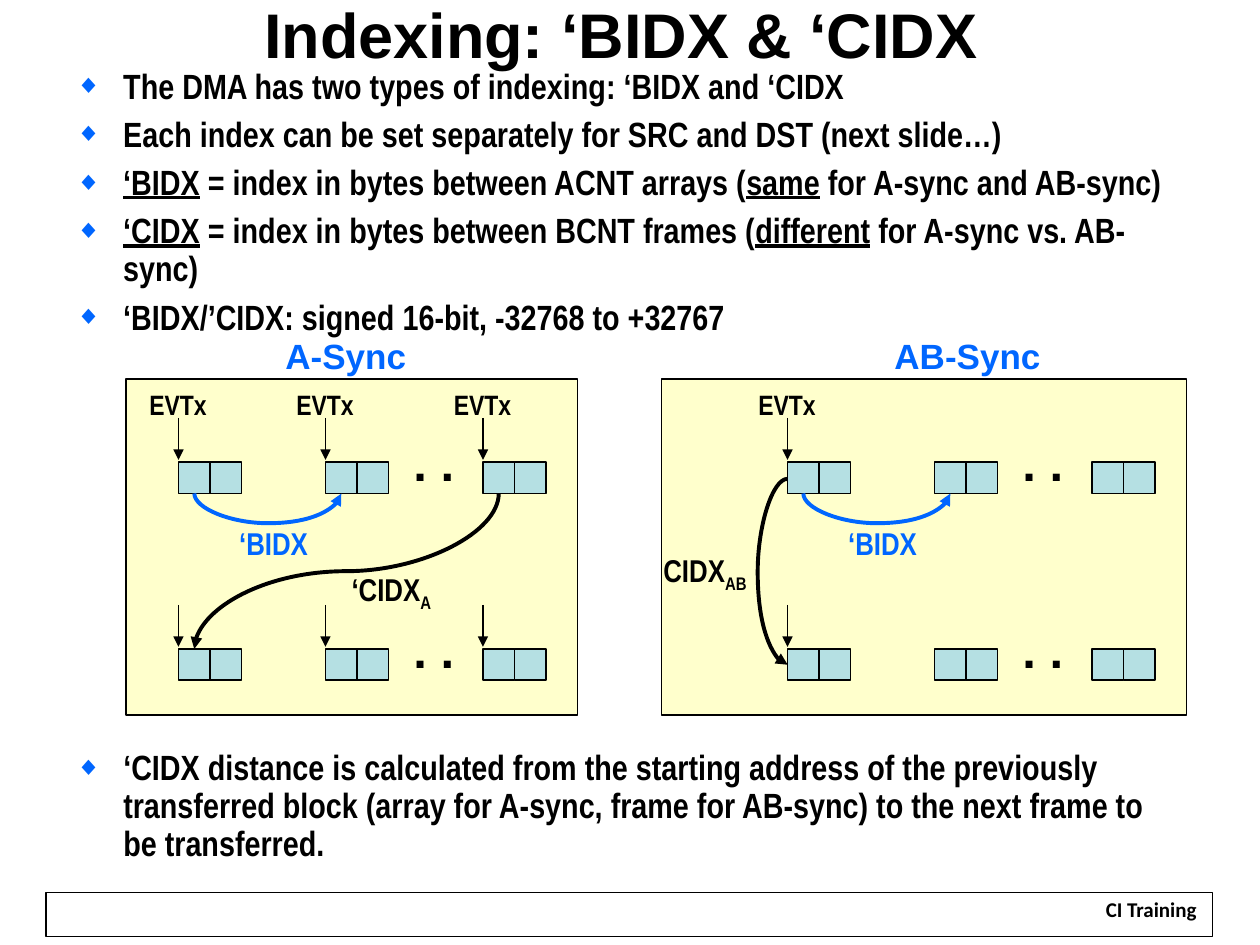
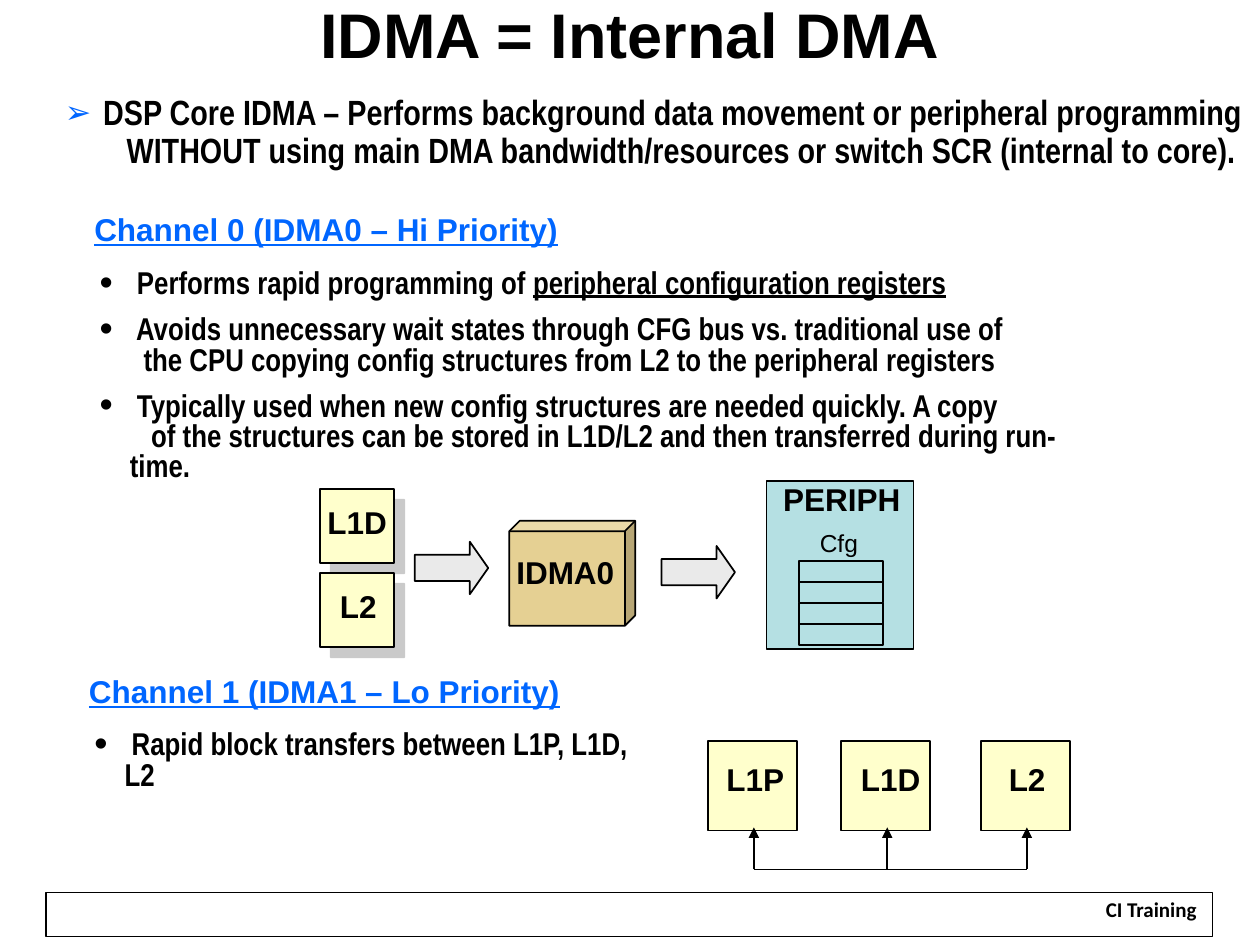
"""Builds two slides on DMA indexing and the internal DMA on a 120 by 90 grid."""
from lxml import etree
from pptx import Presentation
from pptx.dml.color import RGBColor
from pptx.enum.shapes import MSO_CONNECTOR, MSO_SHAPE
from pptx.enum.text import MSO_ANCHOR, MSO_AUTO_SIZE, PP_ALIGN
from pptx.oxml.ns import qn
from pptx.util import Emu, Inches, Pt

RECT, CUBE, ARROW = MSO_SHAPE.RECTANGLE, MSO_SHAPE.CUBE, MSO_SHAPE.RIGHT_ARROW
STRAIGHT, CURVE = MSO_CONNECTOR.STRAIGHT, MSO_CONNECTOR.CURVE
TOP, MIDDLE = MSO_ANCHOR.TOP, MSO_ANCHOR.MIDDLE
LEFT, CENTER = PP_ALIGN.LEFT, PP_ALIGN.CENTER
FIT = MSO_AUTO_SIZE.SHAPE_TO_FIT_TEXT

BLACK = RGBColor(0x00, 0x00, 0x00)
WHITE = RGBColor(0xFF, 0xFF, 0xFF)
BLUE = RGBColor(0x00, 0x66, 0xFF)
CREAM = RGBColor(0xFF, 0xFF, 0xCC)
TEAL = RGBColor(0xB5, 0xE0, 0xE3)
TAN = RGBColor(0xE5, 0xD0, 0x93)
SILVER = RGBColor(0xEA, 0xEA, 0xEA)
GRAY = RGBColor(0x96, 0x96, 0x96)

COLUMNS, ROWS = 120, 90
WIDTH, HEIGHT = Inches(10), Inches(7.5)
CELL = WIDTH // COLUMNS


def style(name, size, spacing, gap=0, bold=True, color=BLACK, underline=None):
    """Return the format values of one kind of text."""
    return {
        "span": {"name": name, "size": Pt(size), "bold": bold, "underline": underline},
        "para": {"line_spacing": spacing},
        "gap": Pt(gap),
        "color": color,
    }


TITLE = style("Arial", 36, 0.75)
FOOTER = style("Calibri", 12, 0.8)
BODY = style("Arial Narrow", 20, 0.9, 6)
POINTS = style("Arial Narrow", 18, 0.8, 9)
EVENT = style("Arial Narrow", 16, 0.8)
INDEX = style("Arial Narrow", 18, 0.8)
INDEX_BLUE = style("Arial Narrow", 18, 0.8, color=BLUE)
DOTS = style("Arial", 28, 0.8)
SYNC = style("Arial", 20, 0.8, color=BLUE)
CHANNEL = style("Arial", 18, 0.9, color=BLUE, underline=True)
BLOCK = style("Arial", 18, 0.8)
SMALL = style("Arial", 14, 0.8, bold=False)

DIAMOND = {"mark": "◆", "percent": 75, "color": BLUE, "hang": 0.38}
CHEVRON = {"mark": "➢", "percent": 90, "color": BLUE, "hang": 0.24}
DOT = {"mark": "•", "percent": 120, "color": BLACK, "hang": 0.24}


def grid(*cells):
    """Turn grid cells into lengths."""
    return [Emu(round(cell * CELL)) for cell in cells]


def add_xml(parent, tag, **attributes):
    """Append a drawing element with its attributes."""
    child = etree.SubElement(parent, qn(tag))
    for key, value in attributes.items():
        child.set(key, str(value))
    return child


class Deck:
    """Holds the presentation and the current page."""

    def __init__(self):
        """Start an empty deck."""
        self.deck = Presentation()
        self.deck.slide_width, self.deck.slide_height = WIDTH, HEIGHT
        self.page = None

    def new_page(self, title):
        """Add a page with the shared title and footer."""
        self.page = self.deck.slides.add_slide(self.deck.slide_layouts[6])
        self.shape((4.4, 85, 111.1, 4.2), None, weight=0.75)
        self.shape((104, 85.3, 11.3, 3.6), WHITE, weight=0)
        self.text((104, 85.3, 11.3, 3.6), FOOTER, "CI Training", align=CENTER)
        self.text((0, 0.7, COLUMNS, 8), TITLE, title, align=CENTER, wrap=True, fit=None)

    def shape(self, area, fill, kind=RECT, weight=1, adjust=(), shadow=False):
        """Draw a preset shape."""
        shape = self.page.shapes.add_shape(kind, *grid(*area))
        shape.shadow.inherit = False
        for index, value in enumerate(adjust):
            shape.adjustments[index] = value
        if fill is None:
            shape.fill.background()
        else:
            shape.fill.solid()
            shape.fill.fore_color.rgb = fill
        if weight:
            shape.line.color.rgb, shape.line.width = BLACK, Pt(weight)
        else:
            shape.line.fill.background()
        if shadow:
            effects = shape._element.spPr.find(qn("a:effectLst"))
            outer = add_xml(effects, "a:outerShdw", dist=Pt(8.5), dir=45 * 60000, algn="ctr", rotWithShape=0)
            add_xml(add_xml(outer, "a:srgbClr", val=GRAY), "a:alpha", val=50000)

    def text(self, area, look, *lines, bullet=None, align=LEFT, anchor=TOP,
             wrap=False, fit=FIT, accent="u"):
        """Write paragraphs; parts between underscores take the accent."""
        box = self.page.shapes.add_textbox(*grid(*area))
        frame = box.text_frame
        settings = {"word_wrap": wrap, "auto_size": fit, "vertical_anchor": anchor}
        for key, value in settings.items():
            setattr(frame, key, value)
        for number, line in enumerate(lines):
            para = frame.paragraphs[0] if number == 0 else frame.add_paragraph()
            para.alignment = align
            for key, value in look["para"].items():
                setattr(para, key, value)
            if isinstance(line, tuple):
                line, margin, first = line
                self.indent(para, margin, first)
            else:
                para.space_before = look["gap"] if number else Pt(0)
                if bullet:
                    self.bullet(para, bullet)
            for row, part in enumerate(line.split("\n")):
                if row:
                    para.add_line_break()
                for index, words in enumerate(part.split("_")):
                    if words:
                        self.span(para, words, look, accent if index % 2 else None)

    def span(self, para, words, look, accent):
        """Add a run, underlined or lowered if accented."""
        span = para.add_run()
        span.text = words
        for key, value in look["span"].items():
            setattr(span.font, key, value)
        span.font.color.rgb = look["color"]
        if accent == "u":
            span.font.underline = True
        elif accent == "sub":
            span._r.get_or_add_rPr().set("baseline", "-25000")

    def indent(self, para, margin, first):
        """Set the left margin and first-line indent in inches."""
        properties = para._p.get_or_add_pPr()
        properties.set("marL", str(Inches(margin)))
        properties.set("indent", str(Inches(first)))

    def bullet(self, para, bullet):
        """Give a paragraph a hanging bullet."""
        self.indent(para, bullet["hang"], -bullet["hang"])
        properties = para._p.get_or_add_pPr()
        add_xml(add_xml(properties, "a:buClr"), "a:srgbClr", val=bullet["color"])
        add_xml(properties, "a:buSzPct", val=bullet["percent"] * 1000)
        add_xml(properties, "a:buFont", typeface="Arial")
        add_xml(properties, "a:buChar", char=bullet["mark"])

    def line(self, start, end, kind=STRAIGHT, color=BLACK, weight=1, arrow=True):
        """Draw a connector that may end in an arrowhead."""
        line = self.page.shapes.add_connector(kind, *grid(*start, *end))
        line.line.color.rgb, line.line.width = color, Pt(weight)
        properties = line._element.spPr
        if arrow:
            add_xml(properties.find(qn("a:ln")), "a:tailEnd", type="triangle")
        add_xml(properties, "a:effectLst")
        return properties

    def curve(self, start, end, turn, flips="", bend=0.5, color=BLACK):
        """Draw a turned curved arrow between two points."""
        (left, top), (right, bottom) = start, end
        width, height = abs(right - left), abs(bottom - top)
        if turn % 180:
            width, height = height, width
        x, y = (left + right - width) / 2, (top + bottom - height) / 2
        properties = self.line((x, y), (x + width, y + height), CURVE, color, 2.25)
        frame = properties.find(qn("a:xfrm"))
        frame.set("rot", str(turn * 60000))
        for flip in flips:
            frame.set("flip" + flip, "1")
        values = properties.find(qn("a:prstGeom")).find(qn("a:avLst"))
        add_xml(values, "a:gd", name="adj1", fmla=f"val {round(bend * 100000)}")

    def sync_panel(self, left, width, first, events):
        """Draw a panel with two rows of arrays and their events."""
        self.shape((left, 36.1, width, 32), CREAM)
        for row in (44, 61.8):
            for number, offset in enumerate((0, 14, 29)):
                column = first + offset
                for half in (0, 3):
                    self.shape((column + half, row, 3, 3), TEAL)
                if number < events:
                    self.line((column, row - 4.2), (column, row - 0.2))
                    if row == 44:
                        self.text((column - 3.95, 36.9, 8, 3.7), EVENT, "EVTx")
            self.text((first + 21.2, row - 2.3, 7, 5.6), DOTS, ". .")
        self.curve((first + 1.5, 47), (first + 15.5, 47.02), 270, "H", 150, BLUE)
        self.text((first + 4.6, 50, 9.1, 4.1), INDEX_BLUE, "‘BIDX")


def indexing_page(deck):
    """Build the page on the two index types."""
    deck.new_page("Indexing: ‘BIDX & ‘CIDX ")
    deck.text((6, 7.3, 109.2, 24.1), BODY,
              "The DMA has two types of indexing: ‘BIDX and ‘CIDX",
              "Each index can be set separately for SRC and DST (next slide…)",
              "_‘BIDX_ = index in bytes between ACNT arrays (_same_ for A-sync and AB-sync)",
              "_‘CIDX_ = index in bytes between BCNT frames (_different_ for A-sync vs. AB-sync)",
              "‘BIDX/’CIDX: signed 16-bit, -32768 to +32767",
              bullet=DIAMOND, anchor=MIDDLE, wrap=True)
    deck.text((6, 70.9, 105, 12), BODY,
              "‘CIDX distance is calculated from the starting address of the previously\n"
              "transferred block (array for A-sync, frame for AB-sync) to the next frame to\n"
              "be transferred.",
              bullet=DIAMOND, anchor=MIDDLE, wrap=True)
    deck.sync_panel(12, 43, 17, 3)
    deck.curve((47.5, 47), (18.5, 61.8), 90)
    deck.text((32.3, 54.1, 10.3, 4.1), INDEX, "‘CIDX_A_", accent="sub")
    deck.text((26, 32, 14.2, 4.4), SYNC, "A-Sync")
    deck.sync_panel(63, 50, 75, 1)
    deck.text((62, 52.3, 10.8, 4.1), INDEX, "CIDX_AB_", accent="sub")
    deck.text((84, 32, 16.5, 4.4), SYNC, "AB-Sync")
    deck.curve((75, 45.6), (75.02, 63.3), 180, "HV", -150)


def internal_page(deck):
    """Build the page on the two internal DMA channels."""
    deck.new_page("IDMA = Internal DMA")
    deck.text((5, 8.5, 117, 8.5), BODY,
              " DSP Core IDMA – Performs background data movement or peripheral programming",
              ("WITHOUT using main DMA bandwidth/resources or switch SCR (internal to core).", 0.49, 0),
              bullet=CHEVRON, wrap=True)
    deck.text((7.8, 19.8, 46.8, 4.4), CHANNEL, "Channel 0 (IDMA0 – Hi Priority)")
    deck.text((8.3, 25.2, 96.6, 19.2), POINTS,
              " Performs rapid programming of _peripheral configuration registers_",
              " Avoids unnecessary wait states through CFG bus vs. traditional use of",
              ("the CPU copying config structures from L2 to the peripheral registers", 0.24, 0.11),
              " Typically used when new config structures are needed quickly. A copy",
              ("of the structures can be stored in L1D/L2 and then transferred during run-time.", 0.24, 0.17),
              bullet=DOT, wrap=True)
    for name, row, column, width in (("L1D", 46.6, 30, 9), ("L2", 54.6, 31.2, 6.5)):
        deck.shape((30.5, row, 7, 7), CREAM, shadow=True)
        deck.text((column, row + 1.4, width, 4.1), BLOCK, name)
    deck.shape((73, 45.8, 14, 16), TEAL)
    deck.text((73.4, 45.8, 14, 4.1), BLOCK, "PERIPH")
    for register in range(4):
        deck.shape((76.1, 53.4 + 2 * register, 8, 2), None)
    deck.text((76.9, 50.2, 6.2, 3.5), SMALL, "Cfg")
    for column, row in ((39.5, 51.6), (63, 52)):
        deck.shape((column, row, 7, 5), SILVER, ARROW, adjust=(0.5, 0.35))
    deck.shape((48.5, 49.6, 12, 10), TAN, CUBE, adjust=(0.1,))
    deck.text((48, 52.8, 12, 4.1), BLOCK, "IDMA0")

    deck.text((7.3, 63.8, 47.5, 4.4), CHANNEL, "Channel 1 (IDMA1 – Lo Priority)")
    deck.text((7.8, 69.1, 55.3, 4.1), POINTS,
              " Rapid block transfers between L1P, L1D, L2", bullet=DOT, wrap=True)
    memories = (("L1P", 67.4, 0.6, 9), ("L1D", 80.1, 0.7, 9), ("L2", 93.4, 1.5, 6.5))
    for name, column, shift, width in memories:
        deck.shape((column, 70.6, 8.5, 8.5), CREAM)
        deck.text((column + shift, 72.5, width, 4.1), BLOCK, name)
        deck.line((column + 4.4, 82.8), (column + 4.4, 78.8))
    deck.line((71.8, 82.8), (97.8, 82.8), arrow=False)


def main():
    """Build and save the deck."""
    deck = Deck()
    indexing_page(deck)
    internal_page(deck)
    deck.deck.save("out.pptx")


if __name__ == "__main__":
    main()
